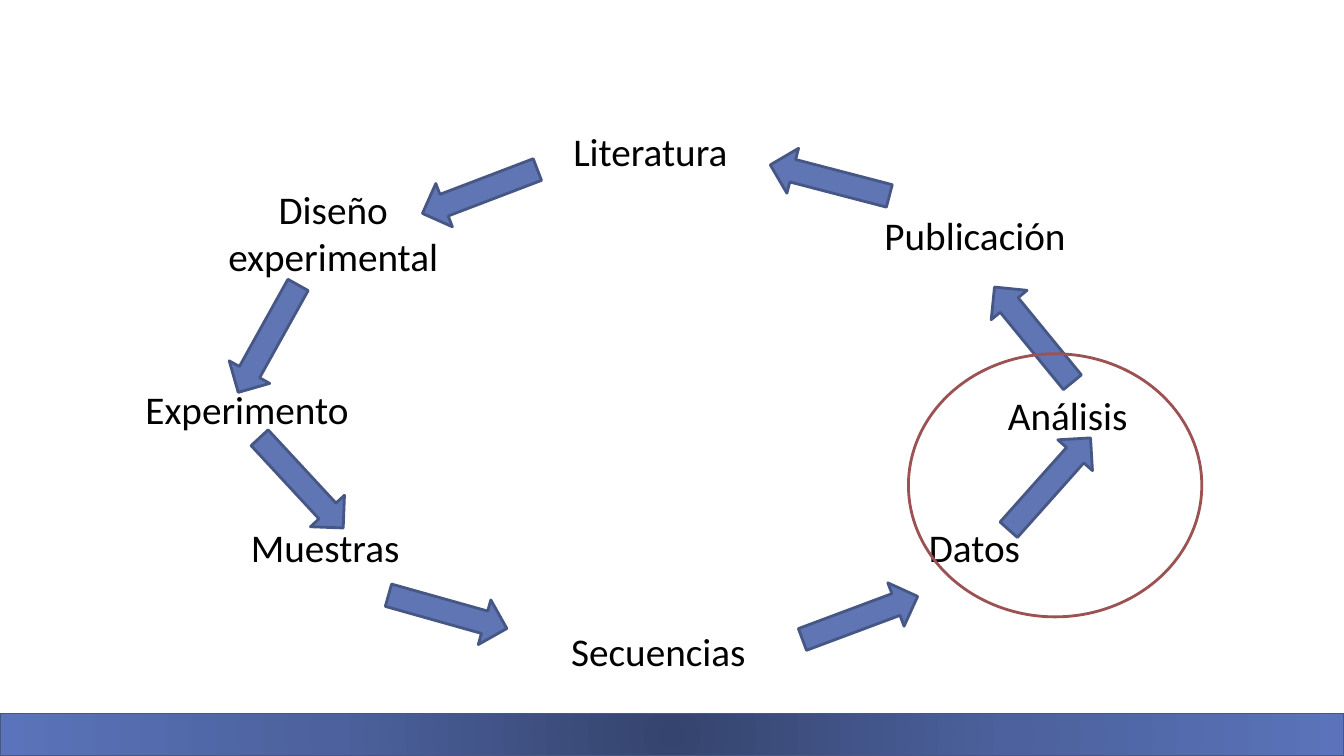
from lxml.etree import SubElement
from pptx import Presentation
from pptx.dml.color import RGBColor
from pptx.enum.shapes import MSO_SHAPE
from pptx.enum.text import MSO_ANCHOR, PP_ALIGN
from pptx.oxml.ns import qn
from pptx.util import Inches, Pt

BLACK = RGBColor(0x00, 0x00, 0x00)
WHITE = RGBColor(0xFF, 0xFF, 0xFF)
ARROW_BLUE = RGBColor(0x60, 0x76, 0xB4)
EDGE_BLUE = RGBColor(0x47, 0x57, 0x85)
RING_RED = RGBColor(0x9C, 0x52, 0x52)
BAND_DARK = RGBColor(0x35, 0x44, 0x6E)
BAND_MIDDLE = RGBColor(0x4C, 0x61, 0x9D)
BAND_LIGHT = RGBColor(0x5A, 0x73, 0xBA)

SLIDE_WIDTH, SLIDE_HEIGHT = 13.33, 7.5
FOOTER_HEIGHT = 0.42
ARROW_WIDTH, ARROW_LENGTH = 0.46, 1.22

STAGES = [
    ("Literatura", (5.44, 1.21, 2.02, 0.54)),
    ("Diseño experimental", (2.13, 1.79, 2.35, 0.98)),
    ("Experimento", (1.1, 3.77, 2.7, 0.69)),
    ("Muestras", (2.13, 5.14, 2.19, 0.54)),
    ("Secuencias", (5.18, 6.17, 2.7, 0.69)),
    ("Datos", (8.7, 5.14, 1.93, 0.54)),
    ("Análisis", (9.58, 3.83, 2.02, 0.54)),
    ("Publicación", (8.66, 2.05, 2.02, 0.54)),
]
STEPS = [
    (4.53, 1.29, 69.1),
    (2.43, 2.75, 29.1),
    (2.76, 4.18, 317.2),
    (4.21, 5.46, 285.7),
    (8.3, 5.52, 249.5),
    (10.18, 4.19, 221.7),
    (10.02, 2.71, 140.7),
    (8, 1.18, 104.6),
]
ANALYSIS_RING = (9.01, 3.51, 2.91, 2.61)


def add_figure(slide, preset, box, fill=None, edge=None, edge_width=2):
    figure = slide.shapes.add_shape(preset, *(Inches(length) for length in box))
    figure.shadow.inherit = False
    if fill is None:
        figure.fill.background()
    else:
        figure.fill.solid()
        figure.fill.fore_color.rgb = fill
    if edge is None:
        figure.line.fill.background()
    else:
        figure.line.color.rgb = edge
        figure.line.width = Pt(edge_width)
    return figure


def add_footer(slide, box):
    band = add_figure(slide, MSO_SHAPE.RECTANGLE, box, BAND_LIGHT, EDGE_BLUE, 1)
    band.fill.gradient()
    gradient = band.fill._fill._gradFill
    for child in list(gradient):
        gradient.remove(child)
    stops = SubElement(gradient, qn("a:gsLst"))
    for percent, color in ((0, BAND_DARK), (50, BAND_MIDDLE), (100, BAND_LIGHT)):
        stop = SubElement(stops, qn("a:gs"), pos=str(percent * 1000))
        SubElement(stop, qn("a:srgbClr"), val=str(color))
    radial = SubElement(gradient, qn("a:path"), {"path": "circle"})
    sides = dict.fromkeys("ltrb", "50000")
    SubElement(radial, qn("a:fillToRect"), sides)


def add_stage(slide, label, box):
    stage = add_figure(slide, MSO_SHAPE.RECTANGLE, box, WHITE)
    frame = stage.text_frame
    frame.word_wrap = True
    frame.vertical_anchor = MSO_ANCHOR.TOP
    frame.text = label
    paragraph = frame.paragraphs[0]
    paragraph.alignment = PP_ALIGN.CENTER
    paragraph.font.name = "Calibri"
    paragraph.font.size = Pt(28)
    paragraph.font.color.rgb = BLACK


def add_cycle(slide):
    for label, box in STAGES:
        add_stage(slide, label, box)
    for left, top, rotation in STEPS:
        box = (left, top, ARROW_WIDTH, ARROW_LENGTH)
        arrow = add_figure(slide, MSO_SHAPE.DOWN_ARROW, box, ARROW_BLUE, EDGE_BLUE)
        arrow.rotation = rotation
    add_figure(slide, MSO_SHAPE.OVAL, ANALYSIS_RING, edge=RING_RED)


def main():
    presentation = Presentation()
    presentation.slide_width = Inches(SLIDE_WIDTH)
    presentation.slide_height = Inches(SLIDE_HEIGHT)
    slide = presentation.slides.add_slide(presentation.slide_layouts[6])
    add_footer(slide, (0, SLIDE_HEIGHT - FOOTER_HEIGHT, SLIDE_WIDTH, FOOTER_HEIGHT))
    add_cycle(slide)
    presentation.save("out.pptx")


if __name__ == "__main__":
    main()
